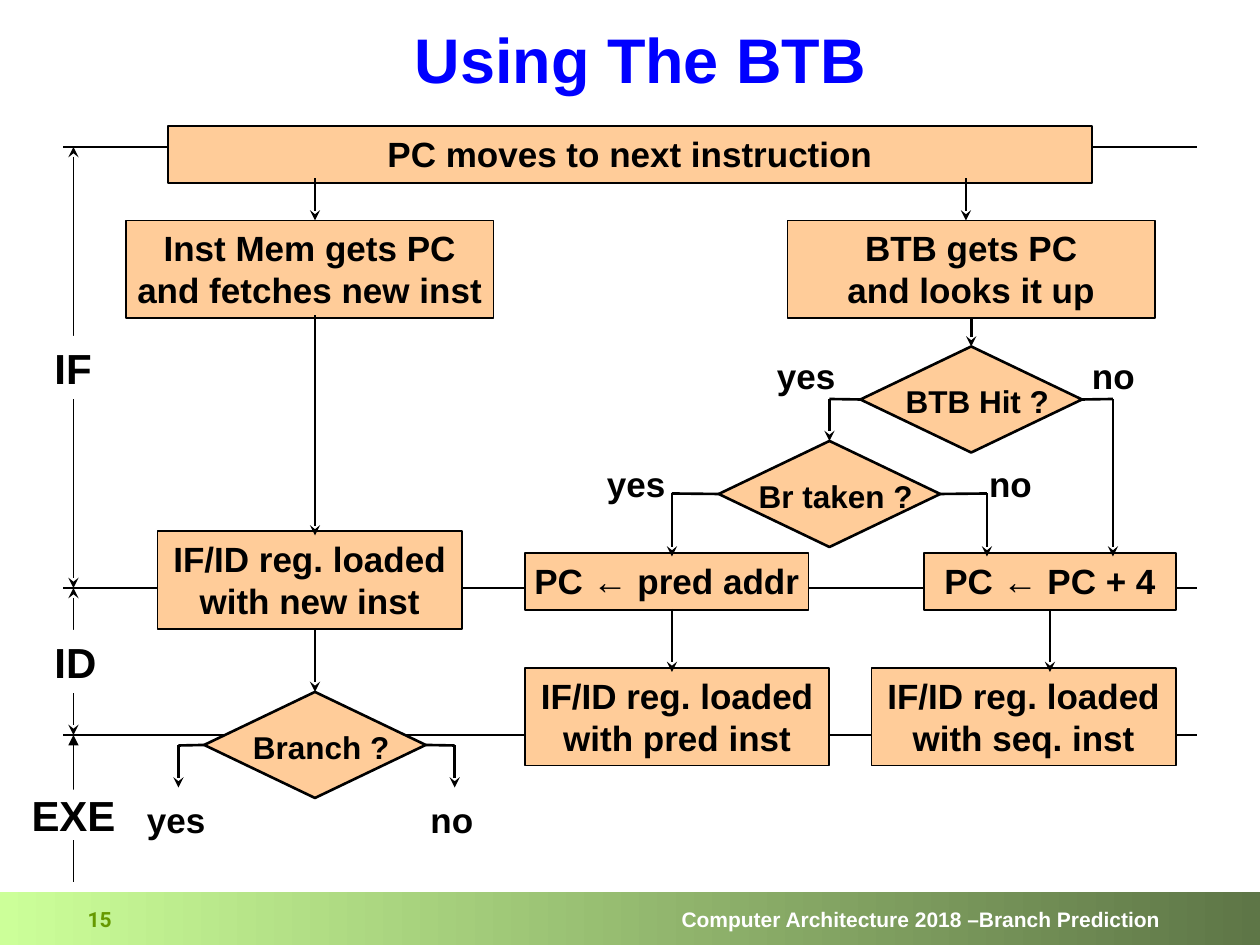
from lxml.etree import SubElement
from pptx import Presentation
from pptx.dml.color import RGBColor
from pptx.enum.shapes import MSO_CONNECTOR, MSO_SHAPE
from pptx.enum.text import MSO_ANCHOR, PP_ALIGN
from pptx.oxml.ns import qn
from pptx.util import Inches, Pt

COLORS = {"title": "0000FF", "ink": "000000", "box": "FFCC99", "paper": "FFFFFF",
          "page": "669900", "bar_from": "CCFF99", "bar_to": "5E7647"}
COLS, WIDTH, HEIGHT = 120, 10, 7.5      # square grid cells, 12 to the inch
TOP, MID, BOTTOM = 0, 0, 2              # connection sites share one numbering
LEFT, RIGHT = 1, 3
ONE_ROW, TWO_ROWS = 5.4, 9.3            # box heights
DIAMOND_W, DIAMOND_H = 21.1, 10.1

# Content: name -> (text, left, top, width, height) in grid cells
BOXES = {
    "next": ("PC moves to next instruction", 16, 12, 88, ONE_ROW),
    "fetch": ("Inst Mem gets PC\nand fetches new inst", 12, 21, 35, TWO_ROWS),
    "lookup": ("BTB gets PC\nand looks it up", 75, 21, 35, TWO_ROWS),
    "new": ("IF/ID reg. loaded\nwith new inst", 15, 50.6, 29, TWO_ROWS),
    "seq_pc": ("PC ← PC + 4", 88, 52.7, 24, ONE_ROW),
    "pred_pc": ("PC ← pred addr", 50, 52.7, 27, ONE_ROW),
    "pred": ("IF/ID reg. loaded\nwith pred inst", 50, 63.6, 29, TWO_ROWS),
    "seq": ("IF/ID reg. loaded\nwith seq. inst", 83, 63.6, 29, TWO_ROWS),
}
# name -> (text, centre column, top row)
DECISIONS = {
    "hit": ("BTB Hit ?", 92.5, 33),
    "taken": ("Br taken ?", 79, 42),
    "branch": ("Branch ?", 30, 65.9),
}
STAGE_ROWS = [14, 56, 70]
# top row, bottom row, head, tail
STAGE_SPANS = [(14, 56, "stealth", "stealth"), (56, 70, "stealth", "stealth"),
               (70, 84, "triangle", None)]
# text, left, top, width, height, inset
STAGES = [("IF", 4, 32, 6, 6, 0.1), ("ID", 4, 60, 7, 6, 0.1), ("EXE", 3, 75.2, 9, 4.8, 0)]
# text, left, top
ANSWERS = [("yes", 74, 33.8), ("no", 104, 33.8), ("yes", 57.8, 44), ("no", 94.2, 44),
           ("yes", 14, 76), ("no", 41, 76)]
# Each end is a (column, row) point or a (name, side) joint
ARROWS = [
    ((30, 17), (30, 21)), ((92, 17), (92, 21)),
    ((30, 30), (30, 51)), (("lookup", BOTTOM), ("hit", TOP)),
    ((79, 38), ("taken", TOP)), ((106, 38), (106, 53)),
    ((64, 47), (64, 53)), ((94, 47), (94, 53)),
    ((64, 58), (64, 64)), (("seq_pc", BOTTOM), (100, 64)),
    ((30, 60), ("branch", TOP)),
    ((17, 71), (17, 75)), ((43.3, 71), (43.3, 75)),
]
ELBOWS = [
    ((79, 38), ("hit", LEFT)), (("hit", RIGHT), (106, 38)),
    ((64, 47), ("taken", LEFT)), (("taken", RIGHT), (94, 47)),
    ((17, 71), ("branch", LEFT)), (("branch", RIGHT), (43.3, 71)),
]

prs = Presentation()
prs.slide_width, prs.slide_height = Inches(WIDTH), Inches(HEIGHT)
s = prs.slides.add_slide(prs.slide_layouts[6])
nodes = {}


def rgb(name):
    return RGBColor.from_string(COLORS[name])


def cells(*values):
    return [Inches(v * WIDTH / COLS) for v in values]


def write(sp, text, size, color="ink", font="Arial", align=PP_ALIGN.CENTER,
          insets=(0.05, 0.05, 0.05, 0.05), anchor=MSO_ANCHOR.TOP, wrap=True, spacing=1.0):
    tf = sp.text_frame
    frame = dict(zip(("margin_left", "margin_top", "margin_right", "margin_bottom"),
                     map(Inches, insets)))
    frame |= {"word_wrap": wrap, "vertical_anchor": anchor}
    for key, value in frame.items():
        setattr(tf, key, value)
    for i, row in enumerate(text.split("\n")):
        p = tf.add_paragraph() if i else tf.paragraphs[0]
        p.alignment, p.line_spacing = align, spacing
        r = p.add_run()
        r.text = row
        for key, value in {"name": font, "size": Pt(size), "bold": True}.items():
            setattr(r.font, key, value)
        r.font.color.rgb = rgb(color)


def shape(kind, fill, rect, line=None):
    sp = s.shapes.add_shape(kind, *cells(*rect))
    sp.shadow.inherit = False
    if fill:
        sp.fill.solid()
        sp.fill.fore_color.rgb = rgb(fill)
    if line:
        sp.line.color.rgb, sp.line.width = rgb("ink"), Pt(line)
    else:
        sp.line.fill.background()
    return sp


def connect(start, end, width=1.5, head=None, tail=None):
    points = [(0, 0) if isinstance(e[0], str) else e for e in (start, end)]
    c = s.shapes.add_connector(MSO_CONNECTOR.STRAIGHT, *cells(*points[0], *points[1]))
    for e, join in ((start, c.begin_connect), (end, c.end_connect)):
        if isinstance(e[0], str):
            join(nodes[e[0]], e[1])
    c.line.color.rgb, c.line.width = rgb("ink"), Pt(width)
    ln = c.line._get_or_add_ln()
    for tag, kind in (("a:headEnd", head), ("a:tailEnd", tail)):
        if kind:
            SubElement(ln, qn(tag), type=kind)
    SubElement(c._element.spPr, qn("a:effectLst"))


# Footer bar, page number and title
bar = shape(MSO_SHAPE.RECTANGLE, None, (0, 85, 120, 5))
bar.fill.gradient()
bar.fill.gradient_angle = 0
for stop, name, pos in zip(bar.fill.gradient_stops, ("bar_from", "bar_to"), (0, 1)):
    stop.color.rgb, stop.position = rgb(name), pos
write(bar, "Computer Architecture 2018 –Branch Prediction", 12, "paper",
      align=PP_ALIGN.RIGHT, insets=(0, 0, 0.79, 0), anchor=MSO_ANCHOR.MIDDLE)
write(s.shapes.add_textbox(*cells(6, 86, 7, 3.4)), "15", 12, "page", "Roboto", spacing=0.9)
write(s.shapes.add_textbox(*cells(14, 0, 94, 12)), "Using The BTB", 36, "title",
      anchor=MSO_ANCHOR.MIDDLE, spacing=0.9)

# Pipeline stage boundaries and spans
for row in STAGE_ROWS:
    connect((6, row), (114, row))
for top, bottom, head, tail in STAGE_SPANS:
    connect((7, top), (7, bottom), 1, head, tail)

# Steps and decisions
for name, (text, *rect) in BOXES.items():
    nodes[name] = shape(MSO_SHAPE.RECTANGLE, "box", rect, 1)
    write(nodes[name], text, 20)
for name, (text, centre, top) in DECISIONS.items():
    rect = (centre - DIAMOND_W / 2, top, DIAMOND_W, DIAMOND_H)
    nodes[name] = shape(MSO_SHAPE.DIAMOND, "box", rect, 1.5)
    write(nodes[name], text, 18, insets=(0.1, 0.03, 0, 0),
          anchor=MSO_ANCHOR.MIDDLE, wrap=False)

# Flow
for start, end in ARROWS:
    connect(start, end, tail="stealth")
for start, end in ELBOWS:
    connect(start, end)

# Stage names and answers
for text, *rect, inset in STAGES:
    write(shape(MSO_SHAPE.RECTANGLE, "paper", rect), text, 24, align=PP_ALIGN.LEFT,
          insets=(inset, inset / 2) * 2)
for text, left, top in ANSWERS:
    rect = (left, top, 2 * len(text) if text == "yes" else 5, 4)
    write(shape(MSO_SHAPE.RECTANGLE, "paper", rect), text, 20, align=PP_ALIGN.LEFT,
          insets=(0, 0, 0, 0))

prs.save("out.pptx")
